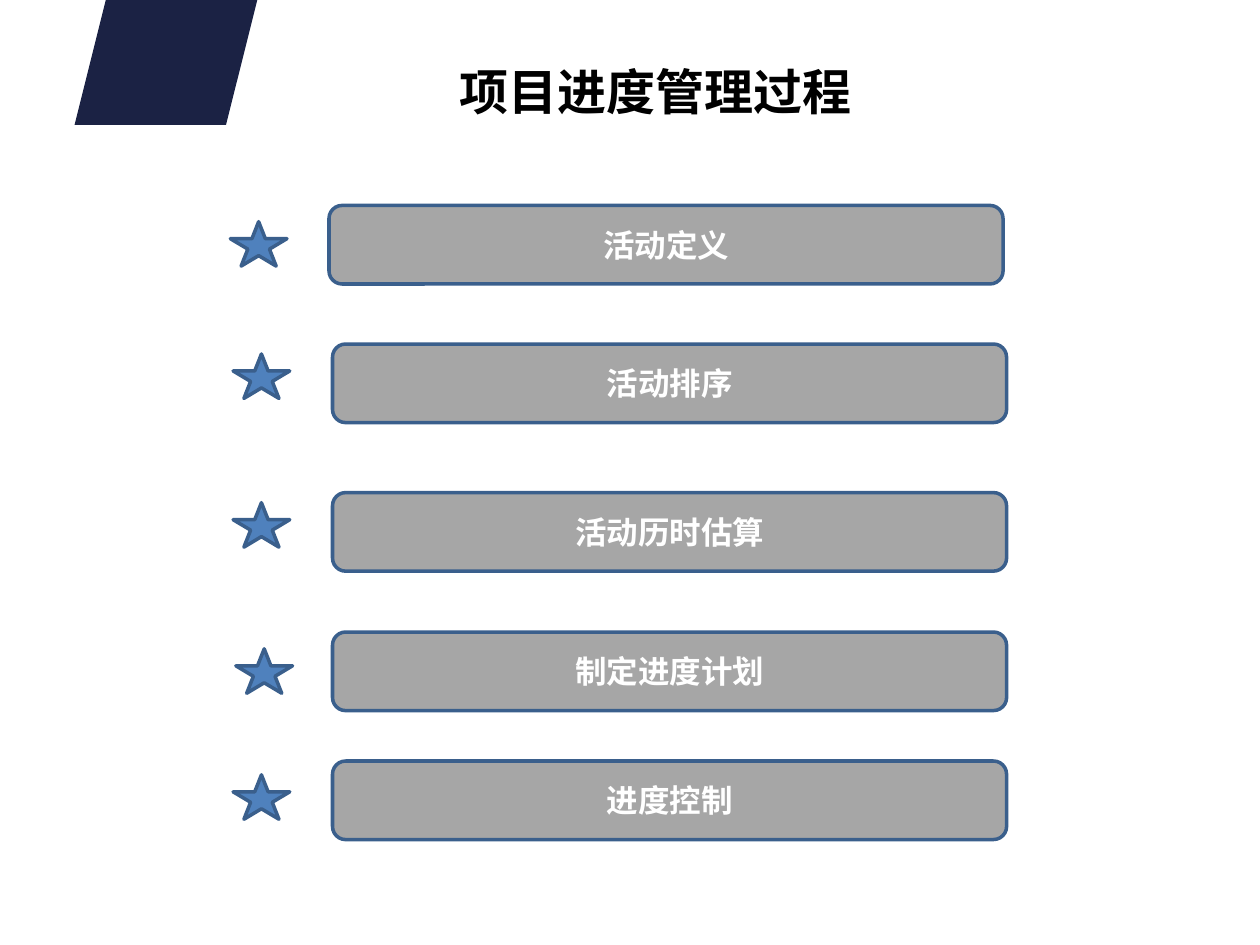
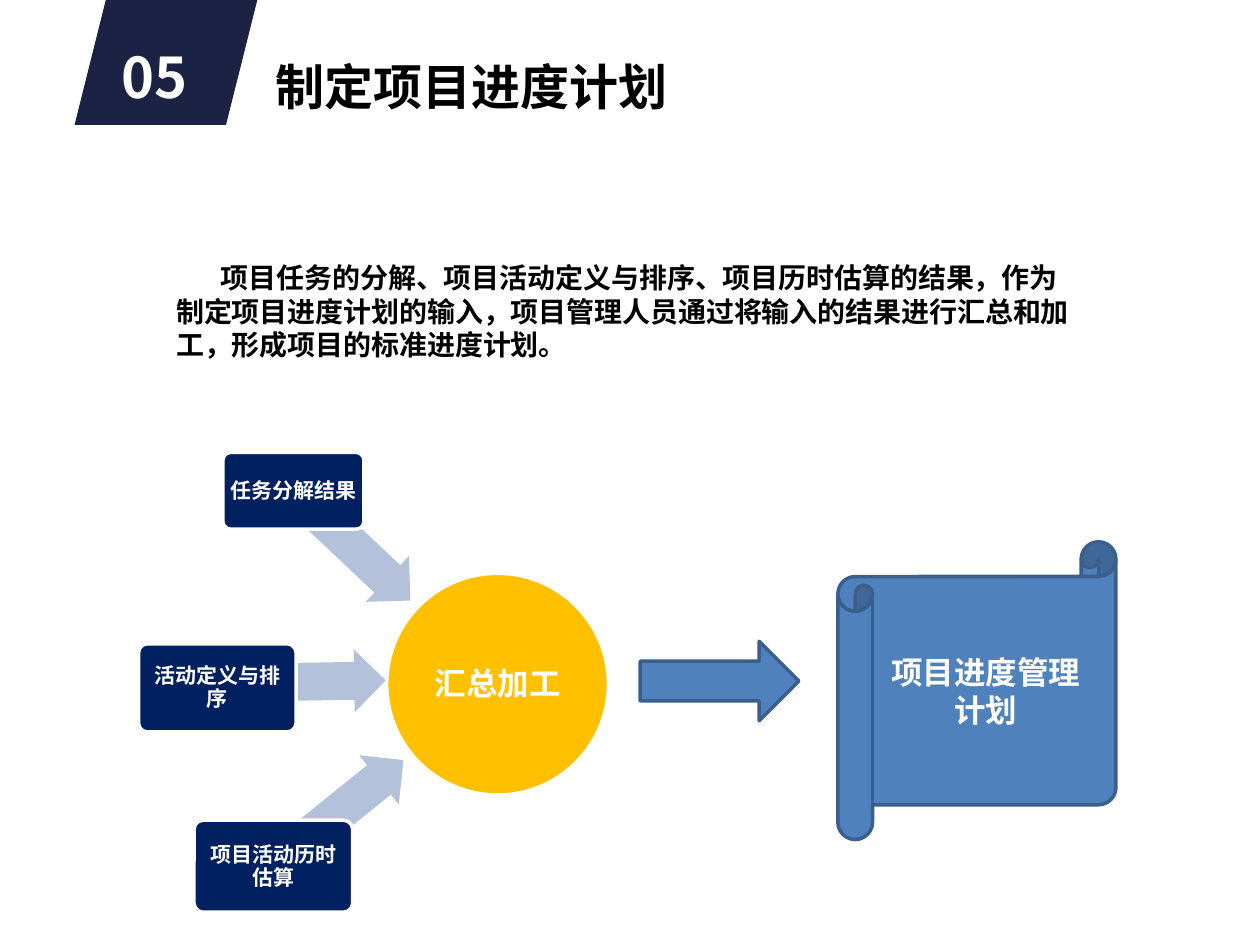
from pptx import Presentation
from pptx.dml.color import RGBColor
from pptx.enum.shapes import MSO_SHAPE
from pptx.enum.text import MSO_ANCHOR, PP_ALIGN
from pptx.oxml.ns import qn
from pptx.util import Pt
from lxml.etree import SubElement

COLORS = {
    "band": "1B2244",
    "black": "000000",
    "white": "FFFFFF",
    "grey": "A6A6A6",
    "blue": "4F81BD",
    "outline": "3A5F8C",
    "navy": "002060",
    "gold": "FFC000",
    "pale": "B3C1DB",
}
FONT = "Noto Sans CJK SC"


def rgb(name):
    return RGBColor.from_string(COLORS[name])


class Deck:
    """Holds the style and the slide being built; boxes are (left, top, width, height) in points."""

    def __init__(self):
        self.prs = Presentation()
        self.prs.slide_width, self.prs.slide_height = Pt(720), Pt(540)
        self.s = None

    def new_slide(self, title, title_box):
        self.s = self.prs.slides.add_slide(self.prs.slide_layouts[6])
        self.shape(MSO_SHAPE.PARALLELOGRAM, (42.6, 0, 104.4, 71.4), "band")
        self.text(title, title_box, 28)

    def fill_text(self, tf, text, size, color, font=FONT, leading=1.2):
        tf.word_wrap = True
        tf.text = text
        p = tf.paragraphs[0]
        p.line_spacing = Pt(size * leading)
        r = p.runs[0]
        r.font.size, r.font.bold, r.font.name = Pt(size), True, font
        r.font.color.rgb = rgb(color)
        SubElement(r.font._element, qn("a:ea")).set("typeface", FONT)
        return p

    def text(self, text, box, size, color="black", indent=0):
        tb = self.s.shapes.add_textbox(*map(Pt, box))
        p = self.fill_text(tb.text_frame, text, size, color)
        if indent:
            p._p.get_or_add_pPr().set("indent", str(Pt(indent)))

    def shape(self, kind, box, fill, line=None, adj=(), rotation=0):
        sp = self.s.shapes.add_shape(kind, *map(Pt, box))
        sp.shadow.inherit = False
        sp.fill.solid()
        sp.fill.fore_color.rgb = rgb(fill)
        if line:
            sp.line.color.rgb = rgb(line)
            sp.line.width = Pt(2)
        else:
            sp.line.fill.background()
        for i, value in enumerate(adj):
            sp.adjustments[i] = value
        sp.rotation = rotation
        return sp

    def label(self, sp, text, size=18, inset=None, **style):
        """Centre white text in a shape."""
        tf = sp.text_frame
        tf.vertical_anchor = MSO_ANCHOR.MIDDLE
        if inset is not None:
            tf.margin_left = tf.margin_right = Pt(inset)
            tf.margin_top = tf.margin_bottom = Pt(inset)
        self.fill_text(tf, text, size, "white", **style).alignment = PP_ALIGN.CENTER


def build_processes(deck):
    deck.new_slide("项目进度管理过程", (255.6, 31.7, 254.9, 42.5))
    # name, bar left, bar top, star left, star top
    steps = [
        ("活动定义", 188, 117.4, 131.6, 126.7),
        ("活动排序", 190, 196.6, 133.2, 202.3),
        ("活动历时估算", 190, 281.5, 133.2, 287.3),
        ("制定进度计划", 190, 361.2, 134.8, 370.8),
        ("进度控制", 190, 434.9, 133.2, 442.8),
    ]
    for name, bar_left, bar_top, star_left, star_top in steps:
        bar = deck.shape(MSO_SHAPE.ROUNDED_RECTANGLE, (bar_left, bar_top, 385.2, 44.9),
                         "grey", "outline")
        deck.label(bar, name)
        deck.shape(MSO_SHAPE.STAR_5_POINT, (star_left, star_top, 32.4, 25.4),
                   "blue", "outline")


def build_planning(deck):
    deck.new_slide("制定项目进度计划", (150.5, 28.8, 533.5, 42.5))
    deck.text("05", (62.6, 20.9, 64.8, 39.6), 32, "white")
    deck.text("项目任务的分解、项目活动定义与排序、项目历时估算的结果，作为制定项目进度计划的输入，"
              "项目管理人员通过将输入的结果进行汇总和加工，形成项目的标准进度计划。",
              (93.6, 145.4, 533.5, 67.7), 16, indent=25.5)

    hub = deck.shape(MSO_SHAPE.OVAL, (221, 327.6, 126.7, 126.7), "gold", "white")
    deck.label(hub, "汇总加工", inset=0.7, leading=1.1)

    # name, box, arrow box, arrow rotation, Latin font
    inputs = [
        ("活动定义与排序", (79.2, 367.9, 90, 50.4), (128.2, 371.5, 92.2, 36), 179.1, FONT),
        ("任务分解结果", (127.4, 258.5, 80.6, 43.9), (155.5, 293.8, 91.4, 36), 223.3, FONT),
        ("项目活动历时估算", (110.9, 468.7, 90.7, 52.6), (145.4, 446.4, 95.8, 36), 141.1, "Calibri"),
    ]
    for name, box, arrow_box, rotation, font in inputs:
        deck.shape(MSO_SHAPE.LEFT_ARROW, arrow_box, "pale", adj=(0.6, 0.5), rotation=rotation)
        card = deck.shape(MSO_SHAPE.ROUNDED_RECTANGLE, box, "navy", "white", adj=(0.1,))
        deck.label(card, name, 12, inset=2, font=font, leading=1.1)

    deck.shape(MSO_SHAPE.RIGHT_ARROW, (365.8, 366.5, 90.7, 45.4), "blue", "outline")
    plan = deck.shape(MSO_SHAPE.HORIZONTAL_SCROLL, (478.8, 309.6, 158.9, 170.2),
                      "blue", "outline")
    deck.label(plan, "项目进度管理计划")


def main():
    deck = Deck()
    build_processes(deck)
    build_planning(deck)
    deck.prs.save("out.pptx")


if __name__ == "__main__":
    main()
